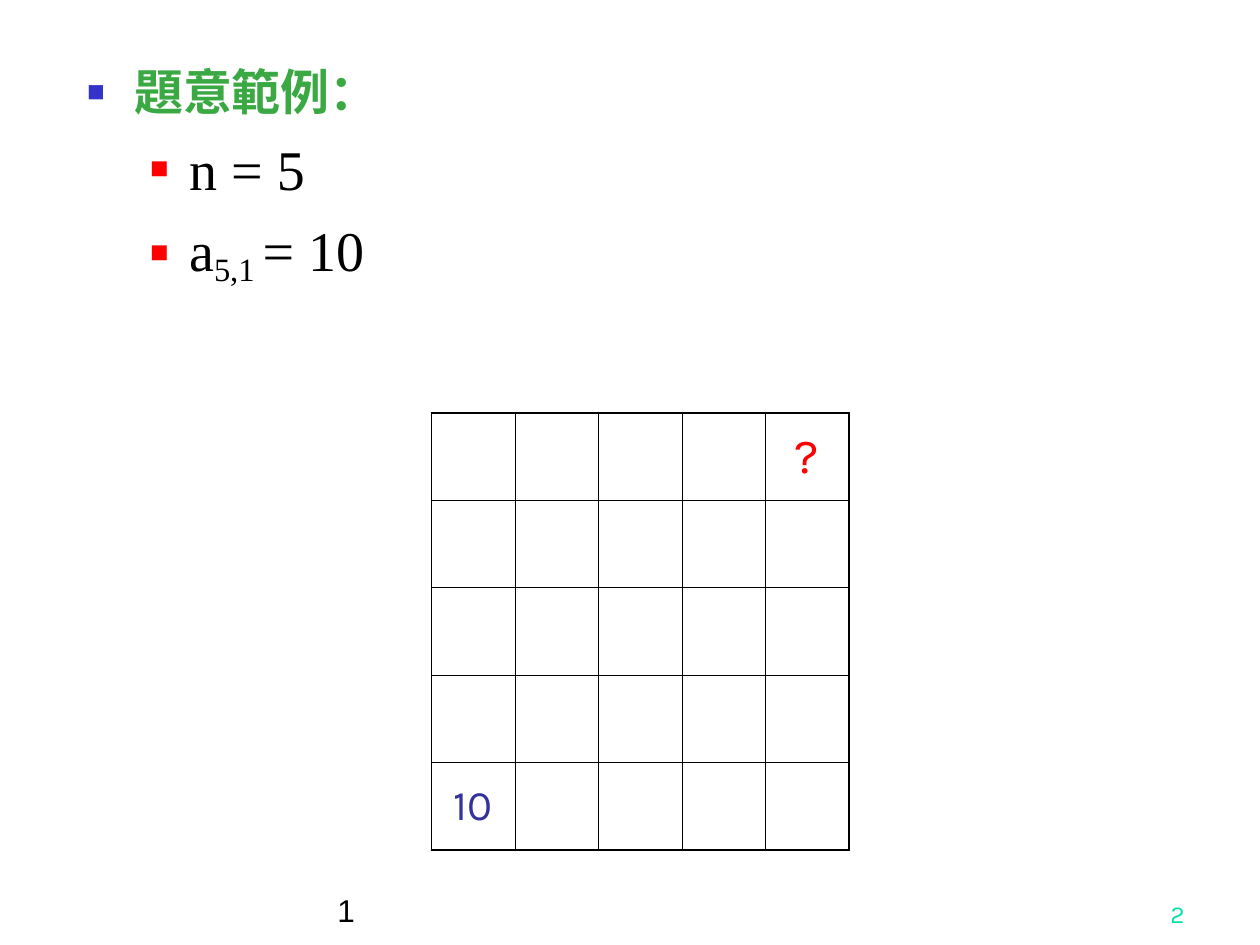
import dataclasses

import pptx
import pptx.dml.color
import pptx.enum.text
import pptx.oxml
import pptx.oxml.ns
import pptx.util

Cm = pptx.util.Cm
Pt = pptx.util.Pt
RGBColor = pptx.dml.color.RGBColor
Align = pptx.enum.text.PP_ALIGN
Anchor = pptx.enum.text.MSO_ANCHOR

BLACK = RGBColor(0x00, 0x00, 0x00)
GREEN = RGBColor(0x3B, 0xA9, 0x43)
BLUE = RGBColor(0x33, 0x33, 0xCC)
NAVY = RGBColor(0x33, 0x33, 0x99)
RED = RGBColor(0xFF, 0x00, 0x00)
MINT = RGBColor(0x00, 0xE4, 0xA8)

GRID_SIZE = 5
INNER_LINE = Pt(0.45)
OUTER_LINE = Pt(1.08)


@dataclasses.dataclass
class TextStyle:
    font: str
    size: float
    color: RGBColor
    bold: bool = False


@dataclasses.dataclass
class BulletStyle:
    level: int
    margin: float
    hanging: float
    color: RGBColor
    percent: int
    before: float
    text: TextStyle


@dataclasses.dataclass
class Label:
    text: str
    style: TextStyle
    align: Align


HEADING = BulletStyle(0, 0.95, 0.95, BLUE, 60, 0,
                      TextStyle("Times New Roman", 28, GREEN, True))
ITEM = BulletStyle(1, 2.06, 0.79, RED, 55, 8,
                   TextStyle("Times New Roman", 32, BLACK))

# Each paragraph is a style and its (text, baseline percent) spans
BODY = [
    (HEADING, [("題意範例：", 0)]),
    (ITEM, [("n = 5", 0)]),
    (ITEM, [("a", 0), ("5,1 ", -18), ("= 10", 0)]),
]

GRID_LABELS = {
    (0, GRID_SIZE - 1): Label("?", TextStyle("Karla", 28, RED), Align.CENTER),
    (GRID_SIZE - 1, 0): Label("10", TextStyle("Karla", 24, NAVY), Align.CENTER),
}


def element(tag: str, attributes: str = "", content: str = ""):
    namespace = pptx.oxml.ns.nsdecls("a")
    return pptx.oxml.parse_xml(
        f"<a:{tag} {namespace} {attributes}>{content}</a:{tag}>")


def add_span(para, text: str, style: TextStyle, baseline: int = 0) -> None:
    span = para.add_run()
    span.text = text
    values = {"name": style.font, "size": Pt(style.size), "bold": style.bold}
    for name, value in values.items():
        setattr(span.font, name, value)
    span.font.color.rgb = style.color
    if baseline:
        span._r.get_or_add_rPr().set("baseline", str(baseline * 1000))


def format_bullet(para, style: BulletStyle) -> None:
    para.level = style.level
    para.space_before = Pt(style.before)
    properties = para._p.get_or_add_pPr()
    properties.set("marL", str(Cm(style.margin)))
    properties.set("indent", str(-Cm(style.hanging)))
    properties.append(element("buClr", "", f'<a:srgbClr val="{style.color}"/>'))
    properties.append(element("buSzPct", f'val="{style.percent * 1000}"'))
    properties.append(element("buFont", 'typeface="Arial"'))
    properties.append(element("buChar", 'char="■"'))


def fill_label(frame, label: Label) -> None:
    para = frame.paragraphs[0]
    para.alignment = label.align
    add_span(para, label.text, label.style)


def set_borders(cell, row: int, column: int) -> None:
    last = GRID_SIZE - 1
    outer_edges = {"lnL": column == 0, "lnR": column == last,
                   "lnT": row == 0, "lnB": row == last}
    properties = cell._tc.get_or_add_tcPr()
    for position, (tag, is_outer) in enumerate(outer_edges.items()):
        width = OUTER_LINE if is_outer else INNER_LINE
        line = element(tag, f'w="{width}"',
                       f'<a:solidFill><a:srgbClr val="{BLACK}"/></a:solidFill>')
        properties.insert(position, line)


def fill_body(page) -> None:
    box = page.placeholders[1]
    place = {"left": Cm(1.5), "top": Cm(1.12),
             "width": Cm(23.01), "height": Cm(16.99)}
    for name, value in place.items():
        setattr(box, name, value)
    frame = box.text_frame
    frame.auto_size = pptx.enum.text.MSO_AUTO_SIZE.NONE
    for index, (style, spans) in enumerate(BODY):
        para = frame.add_paragraph() if index else frame.paragraphs[0]
        format_bullet(para, style)
        for text, baseline in spans:
            add_span(para, text, style.text, baseline)


def add_grid(page) -> None:
    width, height = Cm(8.41), Cm(8.8)
    table = page.shapes.add_table(GRID_SIZE, GRID_SIZE, Cm(8.7), Cm(8.33),
                                  width, height).table
    table.first_row = False
    table.horz_banding = False
    for row in range(GRID_SIZE):
        for column in range(GRID_SIZE):
            cell = table.cell(row, column)
            cell.fill.background()
            cell.vertical_anchor = Anchor.MIDDLE
            set_borders(cell, row, column)
            if (row, column) in GRID_LABELS:
                fill_label(cell.text_frame, GRID_LABELS[row, column])


def add_footer(page, left: float, width: float, label: Label) -> None:
    box = page.shapes.add_textbox(Cm(left), Cm(17.58), Cm(width), Cm(1.27))
    box.text_frame.word_wrap = True
    box.text_frame.vertical_anchor = Anchor.BOTTOM
    fill_label(box.text_frame, label)


def main() -> None:
    deck = pptx.Presentation()
    deck.slide_width, deck.slide_height = Cm(25.4), Cm(19.05)
    page = deck.slides.add_slide(deck.slide_layouts[1])

    # The slide has no title
    title = page.shapes.title._element
    title.getparent().remove(title)

    # Example statement and its grid
    fill_body(page)
    add_grid(page)

    # Footer numbers
    add_footer(page, 6.55, 13.77,
               Label("1", TextStyle("Arial", 18, BLACK), Align.LEFT))
    add_footer(page, 18.85, 5.28,
               Label("2", TextStyle("Karla", 14, MINT), Align.RIGHT))

    deck.save("out.pptx")


if __name__ == "__main__":
    main()
